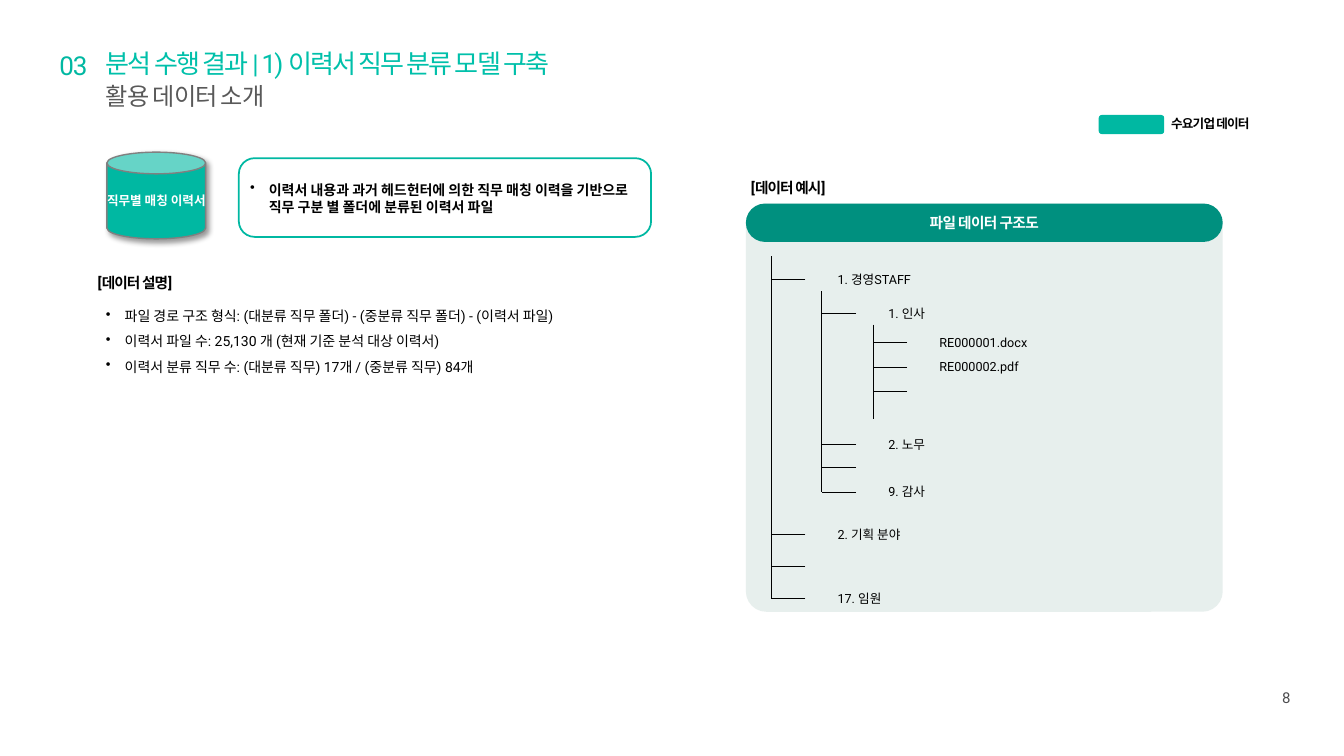
from dataclasses import dataclass

from lxml.etree import SubElement
from pptx import Presentation
from pptx.dml.color import RGBColor
from pptx.enum.shapes import MSO_CONNECTOR, MSO_SHAPE
from pptx.enum.text import MSO_ANCHOR, MSO_AUTO_SIZE, PP_ALIGN
from pptx.oxml.ns import qn
from pptx.util import Pt

FONT = "Roboto"
HEX = {
    "teal": "00B8A2", "title": "00C0AA", "dark": "00907F", "pale": "E7EFED",
    "grey": "595959", "page": "4C4C4E", "edge": "808080",
    "black": "000000", "white": "FFFFFF",
}
TICK = 24.5
GAP = 47.5
ROW = 20

Box = tuple[float, float, float, float]


@dataclass
class Style:
    size: float
    color: str = "black"
    bold: bool = False
    track: float = 0
    lead: float = 1
    align: PP_ALIGN = PP_ALIGN.LEFT
    mid: bool = False
    wrap: bool = True
    bullet: bool = False
    inset: float = 0


@dataclass
class Label:
    text: str
    box: Box
    style: Style


@dataclass
class Panel:
    kind: MSO_SHAPE
    box: Box
    fill: str
    line: str = ""
    width: float = 1
    round: float | None = None
    text: str = ""
    style: Style | None = None
    shade: bool = False


@dataclass
class Branch:
    y: float
    text: str = ""


@dataclass
class Level:
    x: float
    top: float
    end: float
    width: float
    twigs: list[Branch]


HEAD = Style(10.5, bold=True, track=-0.6, lead=1.3)
LEAF = Style(9, mid=True)
CENTER = PP_ALIGN.CENTER

TITLE = Label("분석 수행 결과 | 1) 이력서 직무 분류 모델 구축",
              (75.6, 36.7, 807.8, 37.4), Style(18.6, "title", track=-1.3, lead=0.9))

PANELS = [
    Panel(MSO_SHAPE.CAN, (76.3, 108.7, 70.6, 61.9), "teal", "edge",
          text="직무별 매칭 이력서", shade=True,
          style=Style(9, "white", True, align=CENTER, mid=True, wrap=False)),
    Panel(MSO_SHAPE.ROUNDED_RECTANGLE, (170.6, 113, 294.5, 56.2), "white", "teal", 1.25, 0.2),
    Panel(MSO_SHAPE.ROUNDED_RECTANGLE, (784.8, 82.1, 46.8, 13.7), "teal"),
    Panel(MSO_SHAPE.ROUNDED_RECTANGLE, (532.8, 145.4, 340.6, 291.6), "pale", round=0.05),
    Panel(MSO_SHAPE.ROUNDED_RECTANGLE, (532.8, 145.4, 340.6, 27.4), "dark", round=0.5,
          text="파일 데이터 구조도",
          style=Style(10.5, "white", True, -0.4, align=CENTER, mid=True)),
]

LABELS = [
    Label("03", (42.5, 36.7, 33.1, 43.2),
          Style(18.6, "teal", track=-0.8, lead=0.9, inset=1.4)),
    Label("활용 데이터 소개", (75.6, 60.5, 807.8, 49.7),
          Style(17.3, "grey", track=-0.7, lead=0.9)),
    Label("이력서 내용과 과거 헤드헌터에 의한 직무 매칭 이력을 기반으로 "
          "직무 구분 별 폴더에 분류된 이력서 파일",
          (178.6, 116.6, 276.5, 49.7), Style(10, bold=True, mid=True, bullet=True)),
    Label("수요기업 데이터", (836.6, 74.2, 59.8, 24.5),
          Style(9, bold=True, track=-0.6, lead=1.3, mid=True)),
    Label("[데이터 설명]", (69.8, 192.2, 102.2, 19.4), HEAD),
    Label("[데이터 예시]", (536.4, 123.8, 102.2, 19.4), HEAD),
    Label("파일 경로 구조 형식: (대분류 직무 폴더) - (중분류 직무 폴더) - (이력서 파일)\n"
          "이력서 파일 수: 25,130 개 (현재 기준 분석 대상 이력서)\n"
          "이력서 분류 직무 수: (대분류 직무) 17개 / (중분류 직무) 84개",
          (75.6, 213.8, 388.8, 91.4), Style(10, lead=1.5, bullet=True)),
    Label("8", (898.6, 488.2, 40.3, 20.2),
          Style(10.7, "page", align=CENTER, mid=True, wrap=False)),
]

TREE = [
    Level(550.8, 182.9, 427.7, 64.8,
          [Branch(199.4, "1. 경영STAFF"), Branch(381.6, "2. 기획 분야"),
           Branch(404.6), Branch(427.7, "17. 임원")]),
    Level(587, 208.1, 351.4, 56.2,
          [Branch(223.9, "1. 인사"), Branch(317.5, "2. 노무"),
           Branch(334.1), Branch(351.4, "9. 감사")]),
    Level(623.5, 231.8, 299.5, 96.5,
          [Branch(244.8, "RE000001.docx"), Branch(262.1, "RE000002.pdf"),
           Branch(279.4)]),
]


def paint(name: str) -> RGBColor:
    return RGBColor.from_string(HEX[name])


def write(shape, text: str, style: Style) -> None:
    frame = shape.text_frame
    frame.text = text
    frame.auto_size = MSO_AUTO_SIZE.NONE
    frame.word_wrap = style.wrap
    frame.vertical_anchor = MSO_ANCHOR.MIDDLE if style.mid else MSO_ANCHOR.TOP
    frame.margin_left = frame.margin_right = frame.margin_bottom = 0
    frame.margin_top = Pt(style.inset)
    for para in frame.paragraphs:
        if style.bullet:
            props = para._p.get_or_add_pPr()
            props.set("marL", str(Pt(13.5)))
            props.set("indent", str(-Pt(13.5)))
            SubElement(props, qn("a:buChar"), char="•")
        para.alignment = style.align
        para.line_spacing = style.lead
        para.space_before = Pt(0)
        for run in para.runs:
            run.font.name = FONT
            run.font.size = Pt(style.size)
            run.font.bold = style.bold
            run.font.color.rgb = paint(style.color)
            if style.track:
                run._r.get_or_add_rPr().set("spc", str(round(style.track * 100)))


def add_label(slide, label: Label) -> None:
    shape = slide.shapes.add_textbox(*map(Pt, label.box))
    write(shape, label.text, label.style)


def cast(shape) -> None:
    """Give the shape a soft shadow down to the right."""
    effects = shape._element.spPr.find(qn("a:effectLst"))
    outer = SubElement(effects, qn("a:outerShdw"), blurRad=str(Pt(4)),
                       dist=str(Pt(3)), dir="2700000", algn="tl", rotWithShape="0")
    color = SubElement(outer, qn("a:srgbClr"), val=HEX["black"])
    SubElement(color, qn("a:alpha"), val="40000")


def add_panel(slide, panel: Panel) -> None:
    shape = slide.shapes.add_shape(panel.kind, *map(Pt, panel.box))
    shape.shadow.inherit = False
    shape.fill.solid()
    shape.fill.fore_color.rgb = paint(panel.fill)
    if panel.line:
        shape.line.color.rgb = paint(panel.line)
        shape.line.width = Pt(panel.width)
    else:
        shape.line.fill.background()
    if panel.round is not None:
        shape.adjustments[0] = panel.round
    if panel.shade:
        cast(shape)
    if panel.style:
        write(shape, panel.text, panel.style)


def add_line(slide, x1: float, y1: float, x2: float, y2: float) -> None:
    line = slide.shapes.add_connector(MSO_CONNECTOR.STRAIGHT, *map(Pt, (x1, y1, x2, y2)))
    line.line.color.rgb = paint("black")
    line.line.width = Pt(0.5)
    SubElement(line._element.spPr, qn("a:effectLst"))


def add_level(slide, level: Level) -> None:
    add_line(slide, level.x, level.top, level.x, level.end)
    for twig in level.twigs:
        add_line(slide, level.x + TICK, twig.y, level.x, twig.y)
        if twig.text:
            box = (level.x + GAP, twig.y - ROW / 2, level.width, ROW)
            add_label(slide, Label(twig.text, box, LEAF))


def main() -> None:
    deck = Presentation()
    deck.slide_width, deck.slide_height = Pt(960), Pt(540)
    slide = deck.slides.add_slide(deck.slide_layouts[5])
    title = slide.shapes.title
    title.left, title.top, title.width, title.height = map(Pt, TITLE.box)
    write(title, TITLE.text, TITLE.style)
    for panel in PANELS:
        add_panel(slide, panel)
    for label in LABELS:
        add_label(slide, label)
    for level in TREE:
        add_level(slide, level)
    deck.save("out.pptx")


if __name__ == "__main__":
    main()
